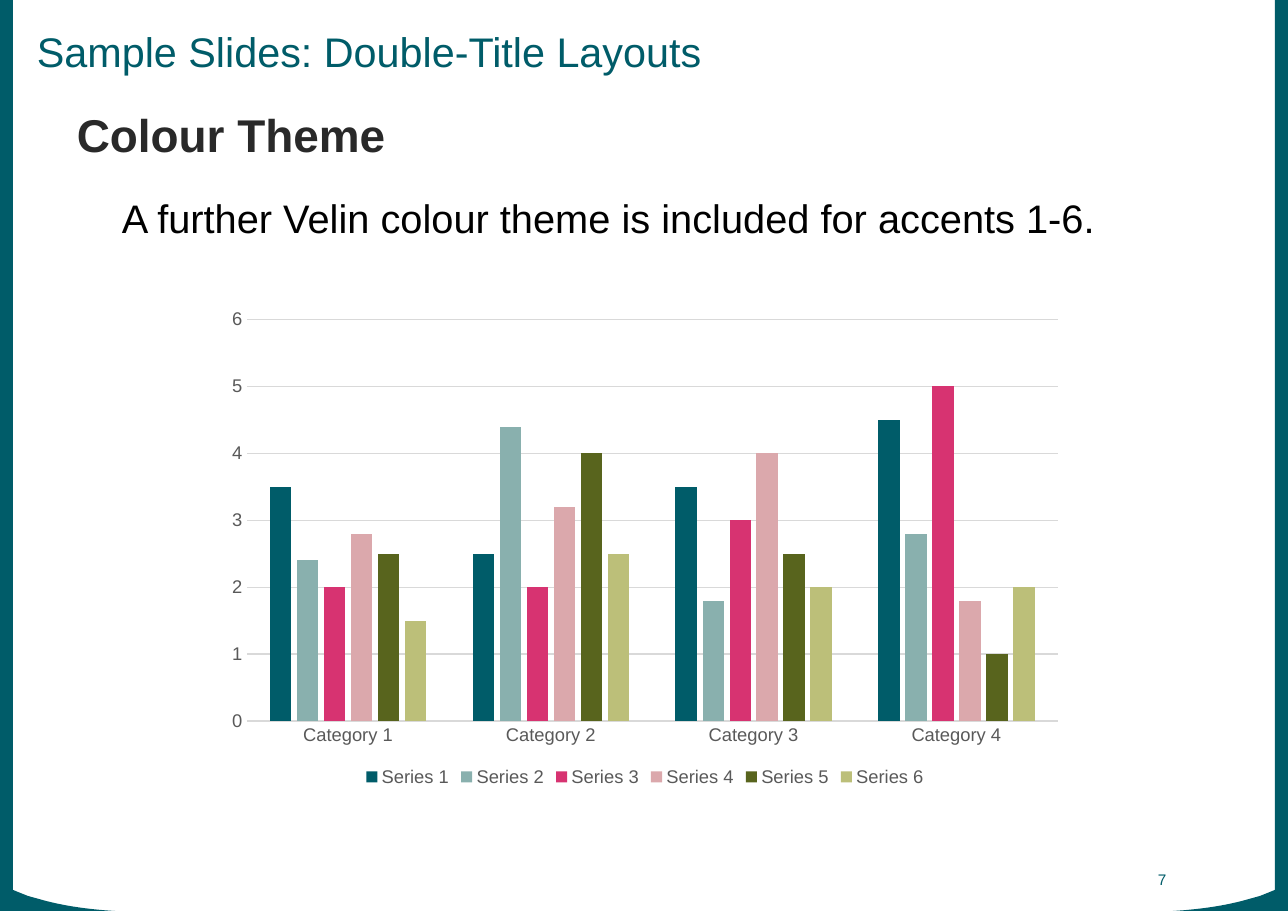
import pptx
import pptx.chart.data
import pptx.dml.color
import pptx.enum.chart
import pptx.enum.text
import pptx.util

RGB = pptx.dml.color.RGBColor
TEAL = RGB(0x00, 0x5C, 0x69)
DARK = RGB(0x29, 0x29, 0x29)
BLACK = RGB(0x00, 0x00, 0x00)
GREY = RGB(0x59, 0x59, 0x59)
RULE = RGB(0xD9, 0xD9, 0xD9)
FONT = "Arial"

# Content: text, box in px, line spacing, alignment, anchor, font values
ALIGN = pptx.enum.text.PP_ALIGN
ANCHOR = pptx.enum.text.MSO_ANCHOR
TEXTS = [
    ("Sample Slides: Double-Title Layouts", (26, 21, 1235, 61), 1.0,
     ALIGN.LEFT, ANCHOR.MIDDLE, {"size": 27, "color": TEAL}),
    ("Colour Theme", (66, 107, 1111, 63), 0.9,
     ALIGN.LEFT, ANCHOR.TOP, {"size": 30, "color": DARK, "bold": True}),
    ("A further Velin colour theme is included for accents 1-6.",
     (111, 194, 1066, 647), 0.9,
     ALIGN.LEFT, ANCHOR.TOP, {"size": 26, "color": BLACK}),
    ("7", (1125, 865, 52, 28), 1.0,
     ALIGN.RIGHT, ANCHOR.MIDDLE, {"size": 10, "color": TEAL}),
]
CHART_BOX = (215, 300, 860, 491)
CATEGORIES = ["Category 1", "Category 2", "Category 3", "Category 4"]
SERIES = [
    ("Series 1", (3.5, 2.5, 3.5, 4.5), TEAL),
    ("Series 2", (2.4, 4.4, 1.8, 2.8), RGB(0x89, 0xB0, 0xAE)),
    ("Series 3", (2, 2, 3, 5), RGB(0xD7, 0x33, 0x71)),
    ("Series 4", (2.8, 3.2, 4, 1.8), RGB(0xDB, 0xA8, 0xAC)),
    ("Series 5", (2.5, 4, 2.5, 1), RGB(0x58, 0x64, 0x1D)),
    ("Series 6", (1.5, 2.5, 2, 2), RGB(0xBC, 0xBF, 0x79)),
]

# Left side band in px; the right one mirrors it
WIDTH, HEIGHT = 1288, 911
BAND = 13
CURVE = [(147, 912), (108, 912), (73, 908), (46, 901)]
CURVE_STEPS = 16
PX = 8298  # EMU per px


def emu(lengths):
    return [round(n * PX) for n in lengths]


def bezier(points, t):
    weights = ((1 - t) ** 3, 3 * t * (1 - t) ** 2, 3 * t ** 2 * (1 - t), t ** 3)
    return tuple(sum(w * p[i] for w, p in zip(weights, points)) for i in (0, 1))


def set_font(font, size, color, bold=False):
    values = {"name": FONT, "size": pptx.util.Pt(size), "bold": bold}
    for name, value in values.items():
        setattr(font, name, value)
    font.color.rgb = color


def add_band(s, mirrored):
    curve = [bezier(CURVE, i / CURVE_STEPS) for i in range(CURVE_STEPS + 1)]
    outline = [(0, 0), (0, 912), *curve, (28, 896), (BAND, 890), (BAND, 0)]
    points = [emu((WIDTH - x if mirrored else x, y)) for x, y in outline]
    builder = s.shapes.build_freeform(*points[0], scale=1.0)
    builder.add_line_segments(points[1:], close=True)
    band = builder.convert_to_shape()
    band.shadow.inherit = False
    band.fill.solid()
    band.fill.fore_color.rgb = TEAL
    band.line.fill.background()


def add_text(s, text, box, spacing, align, anchor, font):
    tf = s.shapes.add_textbox(*emu(box)).text_frame
    tf.word_wrap = True
    tf.vertical_anchor = anchor
    p = tf.paragraphs[0]
    p.alignment = align
    p.line_spacing = spacing
    r = p.add_run()
    r.text = text
    set_font(r.font, **font)


def add_column_chart(s):
    data = pptx.chart.data.CategoryChartData()
    data.categories = CATEGORIES
    for name, values, _ in SERIES:
        data.add_series(name, values)
    kinds = pptx.enum.chart
    chart = s.shapes.add_chart(
        kinds.XL_CHART_TYPE.COLUMN_CLUSTERED, *emu(CHART_BOX), data).chart
    set_font(chart.font, 10, BLACK)
    chart.has_title = False

    # Columns
    plot = chart.plots[0]
    for name, value in {"gap_width": 219, "overlap": -27,
                        "vary_by_categories": False}.items():
        setattr(plot, name, value)
    for series, (_, _, color) in zip(plot.series, SERIES):
        series.format.fill.solid()
        series.format.fill.fore_color.rgb = color

    # Axes and gridlines
    value_axis, category_axis = chart.value_axis, chart.category_axis
    for axis in (value_axis, category_axis):
        axis.major_tick_mark = axis.minor_tick_mark = kinds.XL_TICK_MARK.NONE
        set_font(axis.tick_labels.font, 12, GREY)
    for name, value in {"minimum_scale": 0, "maximum_scale": 6,
                        "major_unit": 1, "has_major_gridlines": True}.items():
        setattr(value_axis, name, value)
    value_axis.format.line.fill.background()
    for part in (category_axis, value_axis.major_gridlines):
        part.format.line.color.rgb = RULE
        part.format.line.width = pptx.util.Pt(0.75)

    # Legend
    chart.has_legend = True
    chart.legend.position = kinds.XL_LEGEND_POSITION.BOTTOM
    chart.legend.include_in_layout = False
    set_font(chart.legend.font, 12, GREY)


def main():
    prs = pptx.Presentation()
    prs.slide_width, prs.slide_height = emu((WIDTH, HEIGHT))
    s = prs.slides.add_slide(prs.slide_layouts[6])
    for mirrored in (False, True):
        add_band(s, mirrored)
    for item in TEXTS:
        add_text(s, *item)
    add_column_chart(s)
    prs.save("out.pptx")


if __name__ == "__main__":
    main()
